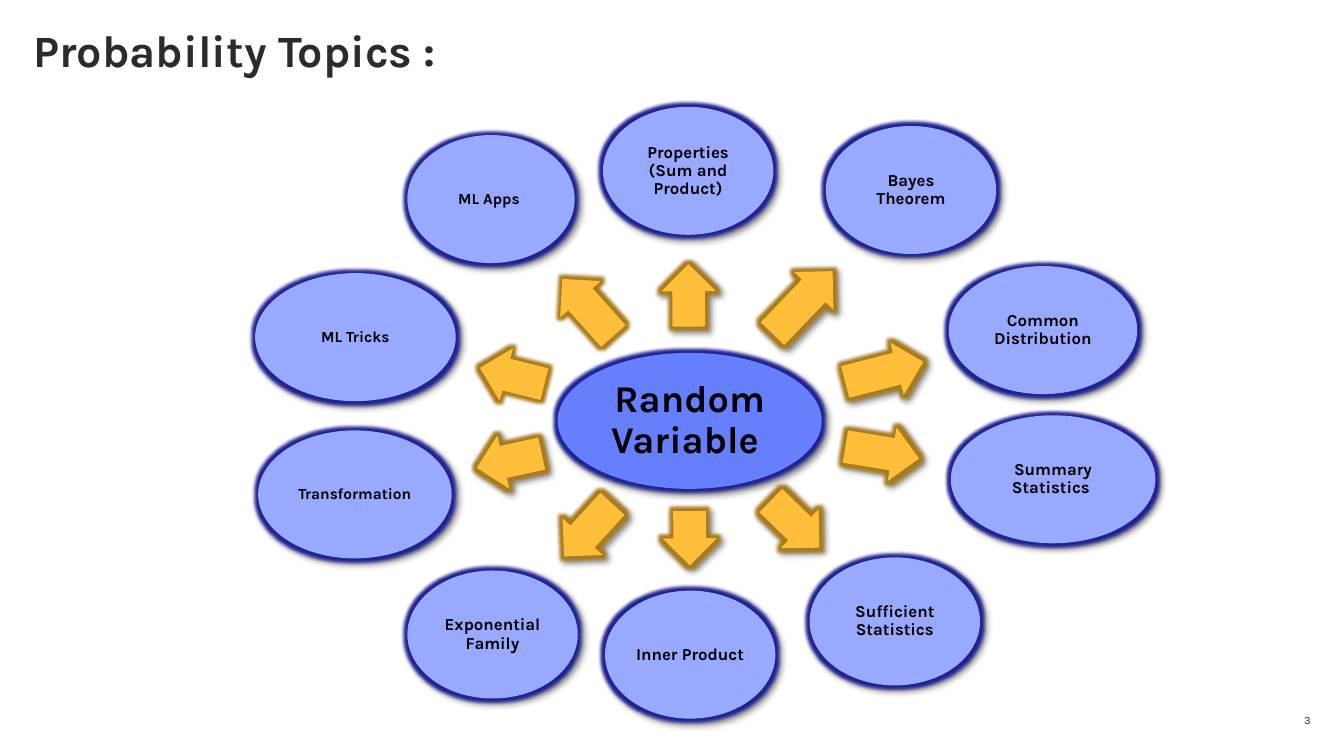
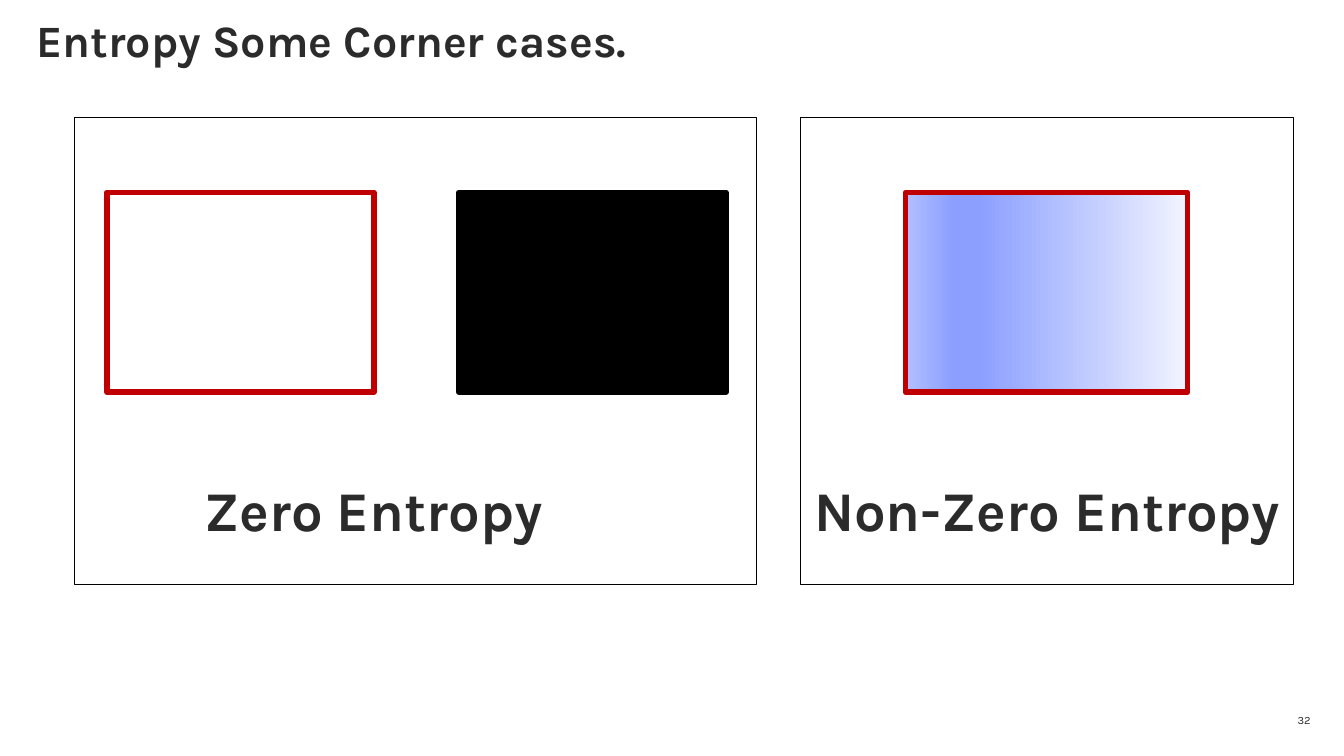
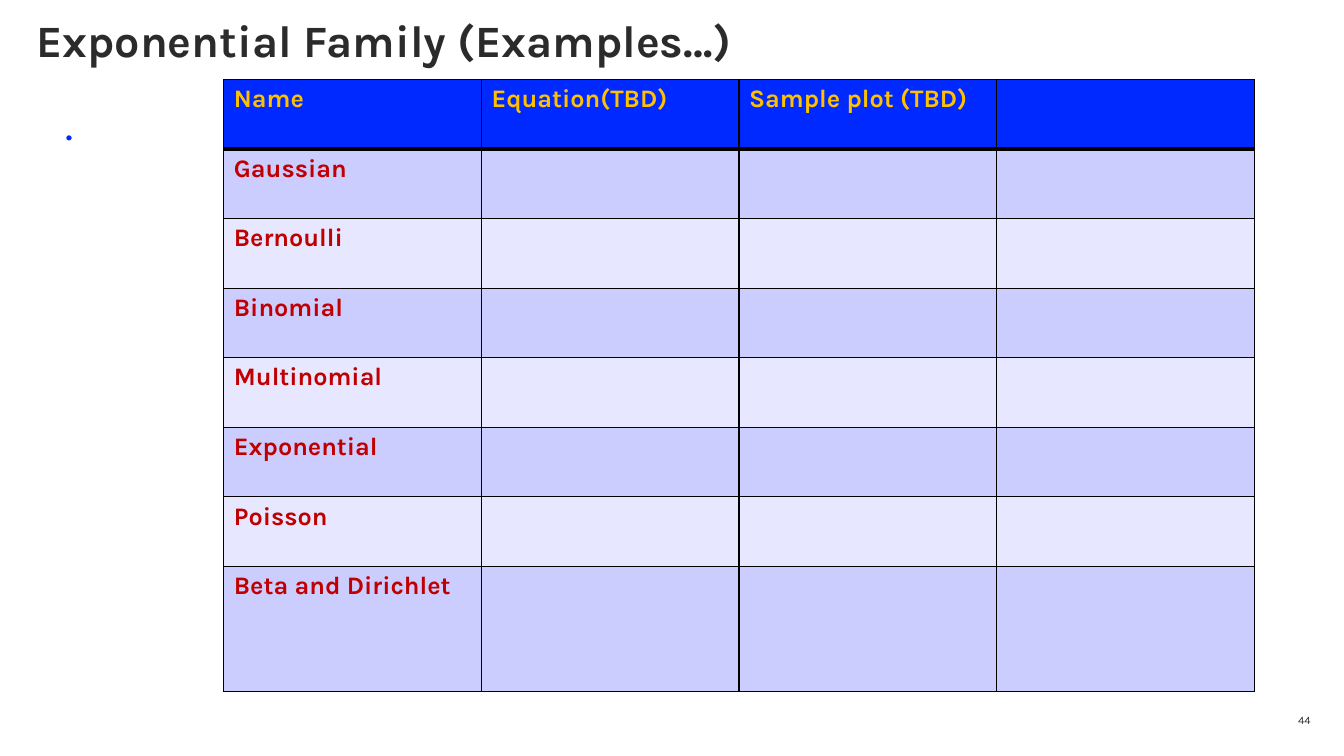
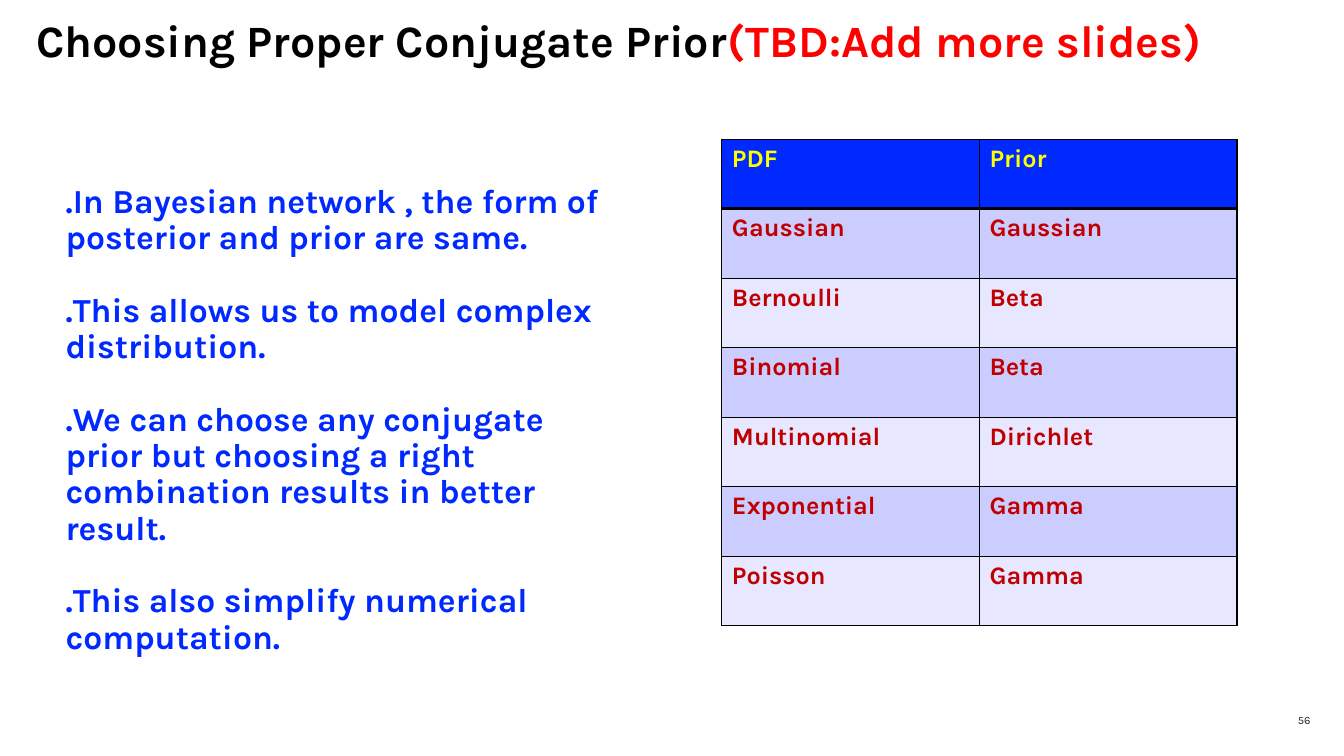
"""Build four slides on probability topics, entropy and conjugate priors."""
from dataclasses import dataclass
from typing import Optional, Sequence

from lxml import etree
from pptx import Presentation
from pptx.dml.color import RGBColor
from pptx.enum import shapes, text
from pptx.oxml.ns import qn
from pptx.util import Inches, Pt

FONT = "Karla"
INK, BLACK, BLUE, CRIMSON = "2B2B2B", "000000", "0029FF", "C00000"
HUB, TOPIC, ARROW = "667FFF", "99A9FF", "FEBE39"
TOPIC_GLOW, ARROW_GLOW = "1F2394", "A97C1E"
BANDS = ("CCCDFF", "E7E8FF")
GRADIENT = ((0, "F2F4FF"), (74, "8C9FFF"), (83, "8C9FFF"), (100, "B2BFFF"))
COLUMN, ROW = 2.555, 0.69


@dataclass(frozen=True)
class Box:
    left: float
    top: float
    width: float
    height: float

    def emu(self) -> tuple:
        return tuple(Inches(v) for v in (self.left, self.top, self.width, self.height))


@dataclass(frozen=True)
class Run:
    text: str
    size: float
    color: str = INK
    bold: bool = True


@dataclass(frozen=True)
class Topic:
    label: str
    oval: Box
    arrow: Box
    angle: float
    size: float = 12
    arrow_shadow: bool = True


TOPICS = (
    Topic("Properties (Sum and Product)", Box(5.98, 1.06, 1.69, 1.27), Box(6.52, 2.66, 0.62, 0.54), 269.7),
    Topic("Bayes Theorem", Box(8.19, 1.25, 1.69, 1.27), Box(7.53, 2.73, 0.86, 0.54), 313.9),
    Topic("Common Distribution", Box(9.41, 2.64, 1.87, 1.27), Box(8.37, 3.42, 0.8, 0.54), 345.6),
    Topic("Summary Statistics ", Box(9.43, 4.12, 2.03, 1.27), Box(8.38, 4.22, 0.74, 0.54), 9.3),
    Topic("Sufficient Statistics", Box(8.03, 5.53, 1.69, 1.27), Box(7.55, 4.93, 0.67, 0.54), 44.3),
    Topic("Inner Product", Box(6, 5.86, 1.69, 1.27), Box(6.57, 5.07, 0.54, 0.54), 89.7),
    Topic("Exponential Family", Box(4.04, 5.66, 1.69, 1.27), Box(5.48, 4.99, 0.71, 0.54), 132.6),
    Topic("Transformation", Box(2.56, 4.27, 1.92, 1.27), Box(4.72, 4.3, 0.66, 0.54), 167.5, 11),
    Topic("ML Tricks", Box(2.53, 2.71, 1.99, 1.27), Box(4.75, 3.46, 0.66, 0.54), 194.1, 11, False),
    Topic("ML Apps ", Box(4.04, 1.34, 1.66, 1.27), Box(5.45, 2.78, 0.76, 0.54), 228.2, 11, False),
)

PRIORS = (
    ("PDF", "Prior"),
    ("Gaussian", "Gaussian"),
    ("Bernoulli", "Beta"),
    ("Binomial", "Beta"),
    ("Multinomial", "Dirichlet"),
    ("Exponential", "Gamma"),
    ("Poisson", "Gamma"),
)

FAMILIES = ("Gaussian", "Bernoulli", "Binomial", "Multinomial", "Exponential",
            "Poisson", "Beta and Dirichlet")

PRIOR_NOTES = (
    ".In Bayesian network , the form of posterior and prior are same.",
    ".This allows us to model complex distribution.",
    ".We can choose any conjugate prior but choosing a right combination results in better result.",
    ".This also simplify numerical computation.",
)


def rgb(color: str) -> RGBColor:
    return RGBColor.from_string(color)


def add_node(parent, tag: str, **attributes):
    return etree.SubElement(parent, qn(tag), {k: str(v) for k, v in attributes.items()})


def add_run(paragraph, run: Run) -> None:
    piece = paragraph.add_run()
    piece.text = run.text
    font = piece.font
    font.name, font.size, font.bold = FONT, Pt(run.size), run.bold
    font.color.rgb = rgb(run.color)


def write(frame, paragraphs: Sequence[Sequence[Run]], align=text.PP_ALIGN.LEFT,
          anchor=text.MSO_ANCHOR.TOP, margin: float = 0, spacing: float = 0.9,
          gap: float = 0, wrap: bool = True) -> None:
    frame.word_wrap = wrap
    frame.auto_size = text.MSO_AUTO_SIZE.NONE
    frame.vertical_anchor = anchor
    frame.margin_left = frame.margin_right = Inches(margin)
    frame.margin_top = frame.margin_bottom = Inches(margin)
    for index, runs in enumerate(paragraphs):
        paragraph = frame.add_paragraph() if index else frame.paragraphs[0]
        paragraph.alignment = align
        paragraph.line_spacing = spacing
        if index:
            paragraph.space_before = Pt(gap)
        for run in runs:
            add_run(paragraph, run)


def add_text(slide, box: Box, paragraphs: Sequence[Sequence[Run]], **style) -> None:
    write(slide.shapes.add_textbox(*box.emu()).text_frame, paragraphs, **style)


def add_shape(slide, kind, box: Box, fill: Optional[str] = None,
              line: Optional[str] = None, weight: float = 0.75):
    shape = slide.shapes.add_shape(kind, *box.emu())
    shape.shadow.inherit = False
    if fill:
        shape.fill.solid()
        shape.fill.fore_color.rgb = rgb(fill)
    else:
        shape.fill.background()
    if line:
        shape.line.color.rgb = rgb(line)
        shape.line.width = Pt(weight)
    else:
        shape.line.fill.background()
    return shape


def add_effects(shape, glow: str, shadow: bool = True) -> None:
    effects = shape.element.spPr.find(qn("a:effectLst"))
    add_node(add_node(effects, "a:glow", rad=Pt(5)), "a:srgbClr", val=glow)
    if shadow:
        outer = add_node(effects, "a:outerShdw", blurRad=Pt(4), dist=Pt(3),
                         dir=45 * 60000, algn="ctr", rotWithShape=0)
        add_node(add_node(outer, "a:srgbClr", val=BLACK), "a:alpha", val=43000)


def add_oval(slide, box: Box, fill: str, label: Run, margin: float) -> None:
    oval = add_shape(slide, shapes.MSO_SHAPE.OVAL, box, fill)
    add_effects(oval, TOPIC_GLOW)
    write(oval.text_frame, [[label]], align=text.PP_ALIGN.CENTER,
          anchor=text.MSO_ANCHOR.MIDDLE, margin=margin)


def set_gradient(shape) -> None:
    shape.fill.gradient()
    gradient = shape.element.spPr.find(qn("a:gradFill"))
    for child in list(gradient):
        gradient.remove(child)
    stops = add_node(gradient, "a:gsLst")
    for position, color in GRADIENT:
        add_node(add_node(stops, "a:gs", pos=position * 1000), "a:srgbClr", val=color)
    add_node(gradient, "a:lin", ang=180 * 60000, scaled=0)


def style_cell(cell, fill: str, top: float, bottom: float) -> None:
    properties = cell._tc.get_or_add_tcPr()
    for side, weight in (("L", 1), ("R", 1), ("T", top), ("B", bottom)):
        border = add_node(properties, f"a:ln{side}", w=Pt(weight))
        add_node(add_node(border, "a:solidFill"), "a:srgbClr", val=BLACK)
    cell.fill.solid()
    cell.fill.fore_color.rgb = rgb(fill)


def add_table(slide, left: float, top: float, rows: Sequence[Sequence[str]],
              heading_color: str, heights: Sequence[float]) -> None:
    columns = len(rows[0])
    box = Box(left, top, COLUMN * columns, sum(heights))
    table = slide.shapes.add_table(len(rows), columns, *box.emu()).table
    for column in table.columns:
        column.width = Inches(COLUMN)
    for index, (values, height) in enumerate(zip(rows, heights)):
        table.rows[index].height = Inches(height)
        fill = BANDS[(index - 1) % 2] if index else BLUE
        color = CRIMSON if index else heading_color
        for cell, value in zip(table.rows[index].cells, values):
            style_cell(cell, fill, 3 if index == 1 else 1, 1 if index else 3)
            if value:
                add_run(cell.text_frame.paragraphs[0], Run(value, 18, color))


def add_slide(presentation, number: int, title: Sequence[Run],
              box: Box = Box(0.36, 0.19, 12.04, 0.56)):
    slide = presentation.slides.add_slide(presentation.slide_layouts[5])
    heading = slide.shapes.title
    heading.left, heading.top, heading.width, heading.height = box.emu()
    write(heading.text_frame, [title])
    add_text(slide, Box(10, 7.04, 3, 0.2), [[Run(str(number), 8, bold=False)]],
             align=text.PP_ALIGN.RIGHT, anchor=text.MSO_ANCHOR.MIDDLE, spacing=1)
    return slide


def build_topics(presentation) -> None:
    slide = add_slide(presentation, 3, [Run("Probability Topics :", 32)], Box(0.33, 0.29, 6, 0.56))
    add_oval(slide, Box(5.53, 3.5, 2.62, 1.35), HUB, Run("Random Variable ", 27, BLACK), 0.04)
    for topic in TOPICS:
        arrow = add_shape(slide, shapes.MSO_SHAPE.RIGHT_ARROW, topic.arrow, ARROW)
        arrow.adjustments[0], arrow.adjustments[1] = 0.6, 0.5
        arrow.rotation = topic.angle
        add_effects(arrow, ARROW_GLOW, topic.arrow_shadow)
        add_oval(slide, topic.oval, TOPIC, Run(topic.label, topic.size, BLACK), 0.02)


def build_entropy(presentation) -> None:
    slide = add_slide(presentation, 32, [Run("Entropy Some Corner cases.", 32)])
    rectangle = shapes.MSO_SHAPE.RECTANGLE
    add_shape(slide, rectangle, Box(1.06, 1.91, 2.65, 1.98), None, CRIMSON, 4)
    add_shape(slide, rectangle, Box(4.55, 1.91, 2.65, 1.98), BLACK, BLACK, 4)
    set_gradient(add_shape(slide, rectangle, Box(8.98, 1.91, 2.8, 1.98), None, CRIMSON, 4))
    for caption, left, width in (("Zero Entropy", 1.9, 3.61), ("Non-Zero Entropy", 7.94, 4.89)):
        add_text(slide, Box(left, 4.67, width, 0.77), [[Run(caption, 40)]],
                 align=text.PP_ALIGN.CENTER, margin=0.05, spacing=1, wrap=False)
    for left, width in ((0.74, 6.76), (7.94, 4.89)):
        add_shape(slide, rectangle, Box(left, 1.17, width, 4.63), None, BLACK)


def build_families(presentation) -> None:
    slide = add_slide(presentation, 44, [Run("Exponential Family (Examples…)", 32)])
    add_text(slide, Box(0.65, 1.01, 11.8, 6.03), [[Run(".", 32, BLUE, False)]])
    rows = [("Name", "Equation(TBD)", "Sample plot (TBD)", "")]
    rows += [(family, "", "", "") for family in FAMILIES]
    add_table(slide, 2.22, 0.79, rows, "FFC000", [ROW] * len(FAMILIES) + [1.24])


def build_priors(presentation) -> None:
    title = [Run("Choosing Proper Conjugate Prior", 32, BLACK),
             Run("(TBD:Add more slides)", 32, "FF0000")]
    slide = add_slide(presentation, 56, title)
    add_text(slide, Box(0.65, 1.83, 5.42, 4.95),
             [[Run(note, 24, BLUE)] for note in PRIOR_NOTES], gap=26)
    add_table(slide, 7.16, 1.38, PRIORS, "FFFF00", [ROW] * len(PRIORS))


def main() -> None:
    presentation = Presentation()
    presentation.slide_width, presentation.slide_height = Inches(13.33), Inches(7.5)
    for build in (build_topics, build_entropy, build_families, build_priors):
        build(presentation)
    presentation.save("out.pptx")


if __name__ == "__main__":
    main()
